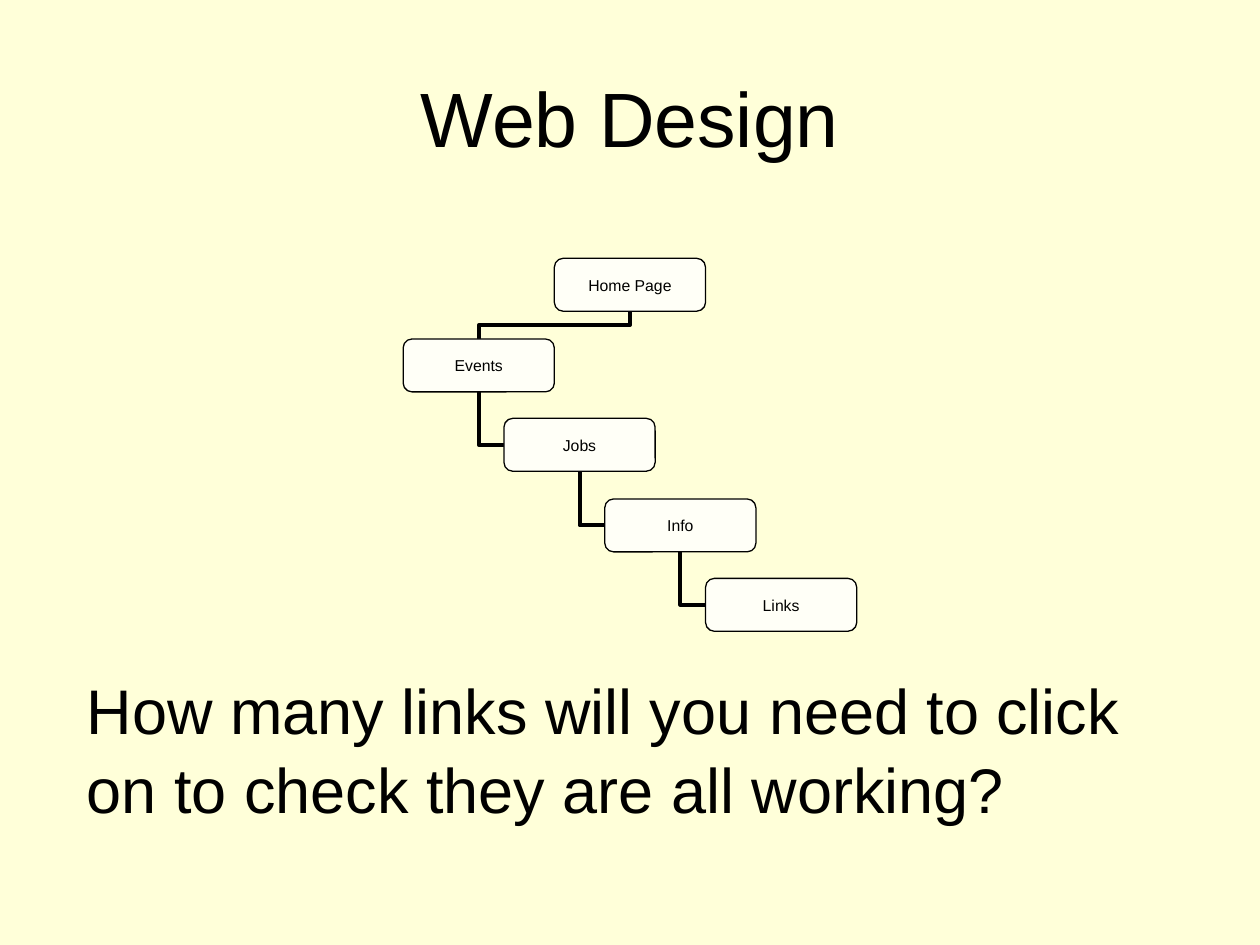
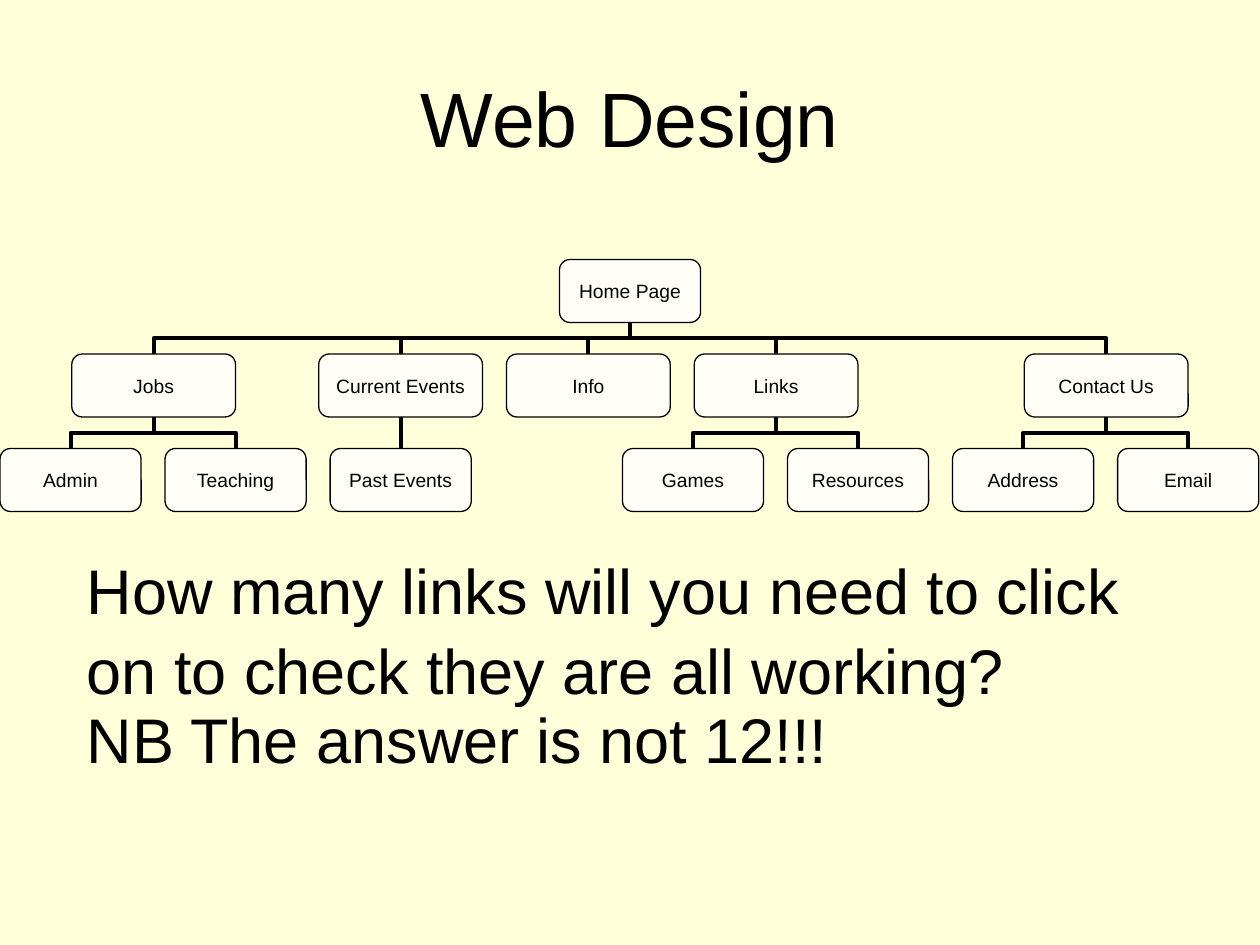
from dataclasses import dataclass

from lxml.etree import SubElement
from pptx import Presentation
from pptx.dml.color import RGBColor
from pptx.enum.shapes import MSO_CONNECTOR, MSO_SHAPE
from pptx.enum.text import MSO_ANCHOR, MSO_AUTO_SIZE, PP_ALIGN
from pptx.oxml.ns import qn
from pptx.shapes.connector import Connector
from pptx.slide import Slide
from pptx.text.text import TextFrame
from pptx.util import Pt

SCALE = 9144  # EMU in one px, 100 px to the inch


@dataclass(frozen=True)
class Theme:
    back: RGBColor = RGBColor(0xFF, 0xFF, 0xD9)
    card: RGBColor = RGBColor(0xFF, 0xFF, 0xF7)
    ink: RGBColor = RGBColor(0, 0, 0)
    font: str = "Arial"
    title: int = 44
    body: int = 36
    small: int = 9
    label: int = 11
    edge: float = 0.75
    link: float = 2.25


THEME = Theme()
TITLE = "Web Design"
QUERY = "How many links will you need to click on to check they are all working?"


@dataclass(frozen=True)
class Node:
    """A page of the site map, placed by its centre line and top."""
    text: str
    mid: int
    top: int
    width: int
    height: int
    size: int

    @property
    def left(self) -> int:
        return self.mid - self.width // 2

    @property
    def base(self) -> int:
        return self.top + self.height


@dataclass(frozen=True)
class Branch:
    text: str
    mid: int
    leaves: tuple[str, ...] = ()


def px(*sizes: float) -> list[int]:
    return [round(size * SCALE) for size in sizes]


# Text
def write(frame: TextFrame, text: str, size: int, align: PP_ALIGN) -> None:
    para = frame.paragraphs[0]
    para.alignment = align
    run = para.add_run()
    run.text = text
    run.font.size = Pt(size)
    run.font.name = THEME.font
    run.font.color.rgb = THEME.ink


def add_page(deck: Presentation) -> Slide:
    slide = deck.slides.add_slide(deck.slide_layouts[5])
    title = slide.shapes.title
    title.left, title.top, title.width, title.height = px(50, 30, 900, 125)
    frame = title.text_frame
    frame.auto_size = MSO_AUTO_SIZE.NONE
    frame.vertical_anchor = MSO_ANCHOR.MIDDLE
    write(frame, TITLE, THEME.title, PP_ALIGN.CENTER)
    return slide


def add_note(slide: Slide, text: str, top: int, height: int) -> None:
    frame = slide.shapes.add_textbox(*px(59, top, 874, height)).text_frame
    frame.word_wrap = True
    write(frame, text, THEME.body, PP_ALIGN.LEFT)
    frame.paragraphs[0].line_spacing = 1.05


# Site map parts
def add_node(slide: Slide, node: Node) -> None:
    card = slide.shapes.add_shape(
        MSO_SHAPE.ROUNDED_RECTANGLE,
        *px(node.left, node.top, node.width, node.height))
    card.adjustments[0] = 0.167
    card.shadow.inherit = False
    card.fill.solid()
    card.fill.fore_color.rgb = THEME.card
    card.line.color.rgb = THEME.ink
    card.line.width = Pt(THEME.edge)
    frame = card.text_frame
    frame.word_wrap = False
    frame.vertical_anchor = MSO_ANCHOR.MIDDLE
    frame.margin_left, frame.margin_right = px(6, 6)
    frame.margin_top, frame.margin_bottom = px(3, 3)
    write(frame, node.text, node.size, PP_ALIGN.CENTER)


def add_link(slide: Slide, ends: tuple[float, ...], turn: int) -> Connector:
    link = slide.shapes.add_connector(MSO_CONNECTOR.ELBOW, *px(*ends))
    link.line.color.rgb = THEME.ink
    link.line.width = Pt(THEME.link)
    shape = link._element.spPr
    shape.find(qn("a:xfrm")).set("rot", str(turn * 60000))
    SubElement(shape, qn("a:effectLst"))
    return link


def link_down(slide: Slide, child: Node, parent: Node) -> None:
    """Join the child's top to the parent's foot through a level bar."""
    mid_x, mid_y = (child.mid + parent.mid) / 2, (child.top + parent.base) / 2
    rise = (child.top - parent.base) / 2
    reach = abs(child.mid - parent.mid) / 2
    side, turn = (1, 90) if child.mid < parent.mid else (-1, 270)
    add_link(slide, (mid_x + side * rise, mid_y + reach,
                     mid_x - side * rise, mid_y - reach), turn)


def link_side(slide: Slide, child: Node, parent: Node) -> None:
    """Join the child's left edge to the parent's foot with one bend."""
    ends = (parent.mid, parent.base, child.left, child.top + child.height / 2)
    link = add_link(slide, ends, 180)
    link._element.spPr.find(qn("a:prstGeom")).set("prst", "bentConnector2")


# Slide 1: pages in a chain
def draw_chain(slide: Slide) -> None:
    home = Node("Home Page", 500, 205, 120, 42, THEME.small)
    steps = [Node(text, 380 + 80 * i, 205 + (127 * (i + 1) + 1) // 2,
                  120, 42, THEME.small)
             for i, text in enumerate(("Events", "Jobs", "Info", "Links"))]
    link_down(slide, steps[0], home)
    for parent, child in zip(steps, steps[1:]):
        link_side(slide, child, parent)
    for node in (home, *steps):
        add_node(slide, node)


# Slide 2: pages in a tree
BRANCHES = (
    Branch("Jobs", 122, ("Admin", "Teaching")),
    Branch("Current Events", 318, ("Past Events",)),
    Branch("Info", 467),
    Branch("Links", 616, ("Games", "Resources")),
    Branch("Contact Us", 878, ("Address", "Email")),
)


def draw_tree(slide: Slide) -> None:
    pitch, high = 131, 50
    home = Node("Home Page", 500, 206, 112, high, THEME.label)
    nodes = [home]
    for branch in BRANCHES:
        page = Node(branch.text, branch.mid, 281, 130, high, THEME.label)
        link_down(slide, page, home)
        nodes.append(page)
        count = len(branch.leaves)
        for i, text in enumerate(branch.leaves):
            mid = branch.mid + pitch * (2 * i - count + 1) // 2
            leaf = Node(text, mid, 356, 112, high, THEME.label)
            link_down(slide, leaf, page)
            nodes.append(leaf)
    for node in nodes:
        add_node(slide, node)


def main() -> None:
    deck = Presentation()
    deck.slide_width, deck.slide_height = px(1000, 750)
    fill = deck.slide_master.background.fill
    fill.solid()
    fill.fore_color.rgb = THEME.back

    chain = add_page(deck)
    draw_chain(chain)
    add_note(chain, QUERY, 525, 130)

    tree = add_page(deck)
    draw_tree(tree)
    add_note(tree, QUERY, 430, 130)
    add_note(tree, "NB The answer is not 12!!!", 548, 70)

    deck.save("out.pptx")


if __name__ == "__main__":
    main()
